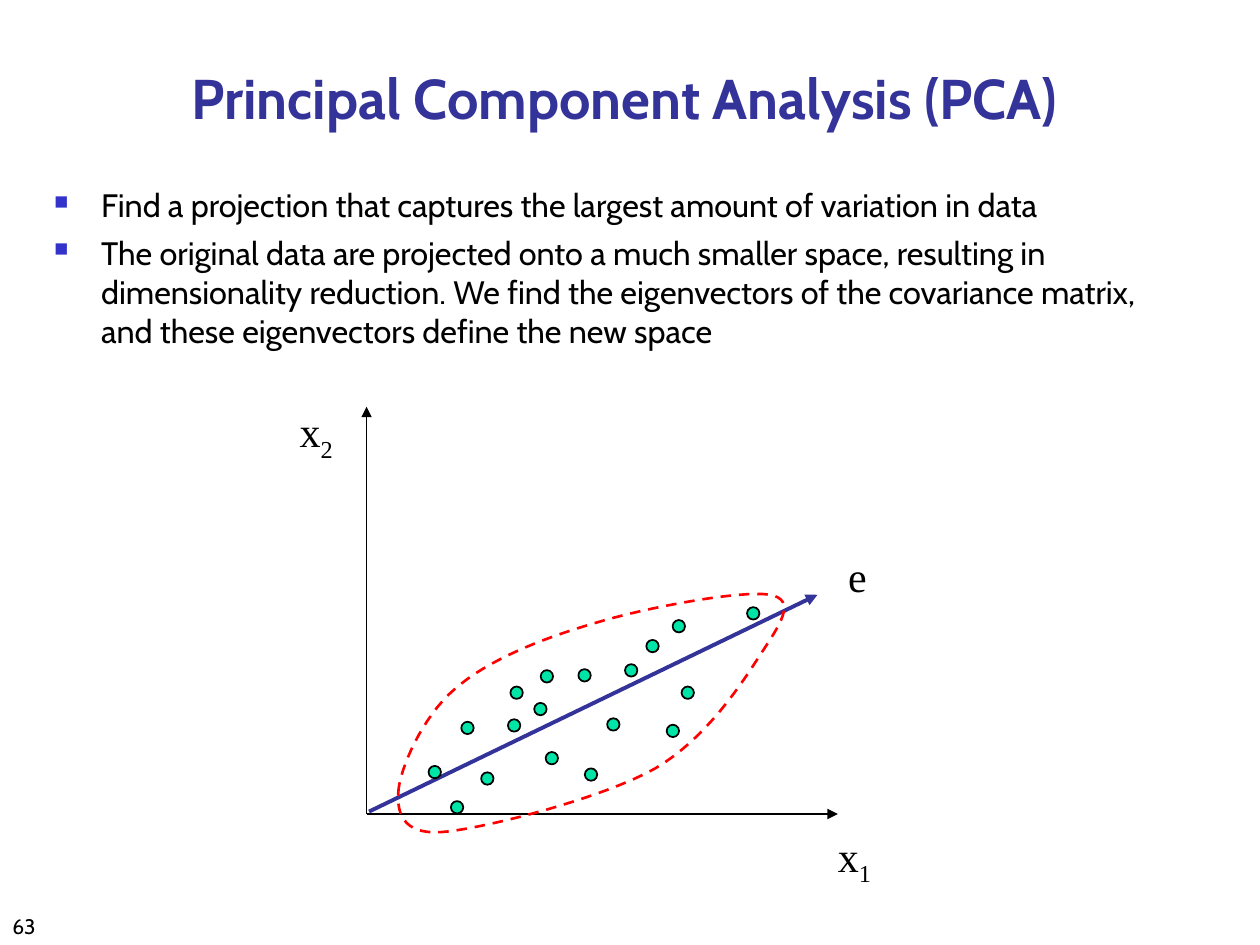
from dataclasses import dataclass
from typing import NamedTuple

from lxml.etree import SubElement
from pptx import Presentation
from pptx.dml.color import RGBColor
from pptx.enum.dml import MSO_LINE
from pptx.enum.shapes import MSO_CONNECTOR, MSO_SHAPE
from pptx.enum.text import MSO_ANCHOR, MSO_AUTO_SIZE, PP_ALIGN
from pptx.oxml.ns import qn
from pptx.util import Cm, Pt


@dataclass(frozen=True)
class Theme:
    sans: str = "Cabin"
    serif: str = "Times New Roman"
    black: RGBColor = RGBColor(0, 0, 0)
    navy: RGBColor = RGBColor(0x33, 0x33, 0x99)
    dot: RGBColor = RGBColor(0x00, 0xE4, 0xA8)
    red: RGBColor = RGBColor(0xFF, 0, 0)
    bullet: str = "3333CC"
    title_pt: float = 32
    body_pt: float = 18.5
    label_pt: float = 24
    number_pt: float = 12
    dot_size: float = 0.25


class Point(NamedTuple):
    x: float
    y: float


class Box(NamedTuple):
    x: float
    y: float
    w: float
    h: float


class Arrow(NamedTuple):
    start: Point
    end: Point
    color: RGBColor
    width: float


class Label(NamedTuple):
    text: str
    sub: str
    box: Box


class Curve(NamedTuple):
    c1: Point
    c2: Point
    end: Point


T = Theme()
ORIGIN = Point(7.39, 16.41)
ARROWS = [
    Arrow(ORIGIN, Point(7.39, 8.2), T.black, 1),
    Arrow(ORIGIN, Point(16.89, 16.41), T.black, 1),
    Arrow(Point(7.44, 16.36), Point(16.48, 11.99), T.navy, 2.25),
]
LABELS = [
    Label("x", "2", Box(5.79, 8.05, 1.17, 1.42)),
    Label("x", "1", Box(16.64, 16.61, 1.17, 1.42)),
    Label("e", "", Box(16.84, 10.97, 0.89, 1.27)),
]
DOTS = [Point(*xy) for xy in (
    (9.3, 14.55), (10.29, 13.84), (8.64, 15.44), (10.77, 14.17), (10.24, 14.5), (12.24, 14.48),
    (11.79, 15.49), (11, 15.16), (11.66, 13.49), (13.74, 13.84), (15.06, 12.24), (9.7, 15.57),
    (12.6, 13.39), (13.56, 12.5), (10.9, 13.51), (13.03, 12.9), (13.44, 14.61), (9.09, 16.15),
)]
CLOUD_START = Point(8.03, 15.98)
CLOUD = [
    Curve(Point(8.05, 15.52), Point(8.51, 14.45), Point(9.17, 13.89)),
    Curve(Point(9.83, 13.31), Point(10.9, 12.88), Point(11.96, 12.57)),
    Curve(Point(13.03, 12.24), Point(14.96, 11.89), Point(15.52, 11.99)),
    Curve(Point(16.08, 12.09), Point(15.72, 12.6), Point(15.34, 13.18)),
    Curve(Point(14.96, 13.77), Point(14.25, 14.88), Point(13.21, 15.49)),
    Curve(Point(12.17, 16.08), Point(9.91, 16.66), Point(9.04, 16.76)),
    Curve(Point(8.18, 16.87), Point(8, 16.46), CLOUD_START),
]
BULLETS = [
    "Find a projection that captures the largest amount of variation in data",
    "The original data are projected onto a much smaller space, resulting in dimensionality "
    "reduction. We find the eigenvectors of the covariance matrix, and these eigenvectors "
    "define the new space",
]


def style(font, name: str, size: float, color: RGBColor, bold: bool = False) -> None:
    font.name, font.size, font.bold = name, Pt(size), bold
    font.color.rgb = color


def add_text(s, box: Box, anchor: MSO_ANCHOR, wrap: bool = True):
    tf = s.shapes.add_textbox(*map(Cm, box)).text_frame
    tf.word_wrap, tf.vertical_anchor = wrap, anchor
    return tf


def add_title(s, text: str) -> None:
    sp = s.shapes.title
    sp.left, sp.top, sp.width, sp.height = map(Cm, (0.43, 0.43, 24.33, 2.34))
    tf = sp.text_frame
    tf.text = text
    tf.auto_size, tf.vertical_anchor = MSO_AUTO_SIZE.NONE, MSO_ANCHOR.BOTTOM
    p = tf.paragraphs[0]
    p.alignment = PP_ALIGN.CENTER
    style(p.runs[0].font, T.sans, T.title_pt, T.navy, True)


def add_bullet(p) -> None:
    pPr = p._p.get_or_add_pPr()
    pPr.set("marL", str(Cm(0.95)))
    pPr.set("indent", str(-Cm(0.95)))
    color = SubElement(pPr, qn("a:buClr"))
    SubElement(color, qn("a:srgbClr"), val=T.bullet)
    SubElement(pPr, qn("a:buSzPct"), val="60000")
    SubElement(pPr, qn("a:buChar"), char="■")


def add_body(s, lines: list[str]) -> None:
    tf = add_text(s, Box(0.84, 3.61, 23.29, 4.45), MSO_ANCHOR.TOP)
    tf.text = "\n".join(lines)
    for i, p in enumerate(tf.paragraphs):
        add_bullet(p)
        p.space_before = Pt(5 if i else 0)
        style(p.runs[0].font, T.sans, T.body_pt, T.black)


def add_label(s, label: Label) -> None:
    tf = add_text(s, label.box, MSO_ANCHOR.MIDDLE, wrap=False)
    p = tf.paragraphs[0]
    p.text = label.text
    p.alignment = PP_ALIGN.CENTER
    if label.sub:
        r = p.add_run()
        r.text = label.sub
        r.font._element.set("baseline", "-25000")
    for r in p.runs:
        style(r.font, T.serif, T.label_pt, T.black)


def add_arrow(s, arrow: Arrow) -> None:
    cx = s.shapes.add_connector(MSO_CONNECTOR.STRAIGHT, *map(Cm, arrow.start + arrow.end))
    cx.line.color.rgb, cx.line.width = arrow.color, Pt(arrow.width)
    SubElement(cx.line._get_or_add_ln(), qn("a:tailEnd"), type="triangle")
    SubElement(cx._element.spPr, qn("a:effectLst"))


def add_dot(s, at: Point) -> None:
    sp = s.shapes.add_shape(MSO_SHAPE.OVAL, *map(Cm, (*at, T.dot_size, T.dot_size)))
    sp.shadow.inherit = False
    sp.fill.solid()
    sp.fill.fore_color.rgb = T.dot
    sp.line.color.rgb, sp.line.width = T.black, Pt(1)


def bezier(start: Point, curve: Curve, steps: int = 16) -> list[tuple[Cm, Cm]]:
    points = []
    for i in range(1, steps + 1):
        t = i / steps
        weights = ((1 - t) ** 3, 3 * t * (1 - t) ** 2, 3 * t * t * (1 - t), t ** 3)
        x, y = (sum(w * v for w, v in zip(weights, axis)) for axis in zip(start, *curve))
        points.append((Cm(x), Cm(y)))
    return points


def add_cloud(s, start: Point, curves: list[Curve]) -> None:
    builder = s.shapes.build_freeform(Cm(start.x), Cm(start.y))
    points = []
    for curve in curves:
        points += bezier(start, curve)
        start = curve.end
    builder.add_line_segments(points, close=True)
    sp = builder.convert_to_shape()
    sp.shadow.inherit = False
    sp.fill.background()
    sp.line.color.rgb, sp.line.width = T.red, Pt(1.5)
    sp.line.dash_style = MSO_LINE.DASH


def main() -> None:
    """Build the slide explaining principal component analysis."""
    prs = Presentation()
    prs.slide_width, prs.slide_height = Cm(25.4), Cm(19.05)
    s = prs.slides.add_slide(prs.slide_layouts[5])
    add_title(s, "Principal Component Analysis (PCA)")
    add_body(s, BULLETS)
    for arrow in ARROWS:
        add_arrow(s, arrow)
    for dot in DOTS:
        add_dot(s, dot)
    add_cloud(s, CLOUD_START, CLOUD)
    for label in LABELS:
        add_label(s, label)
    tf = add_text(s, Box(0, 17.78, 5.28, 1.27), MSO_ANCHOR.BOTTOM)
    tf.text = "63"
    style(tf.paragraphs[0].runs[0].font, T.sans, T.number_pt, T.black)
    prs.save("out.pptx")


if __name__ == "__main__":
    main()
